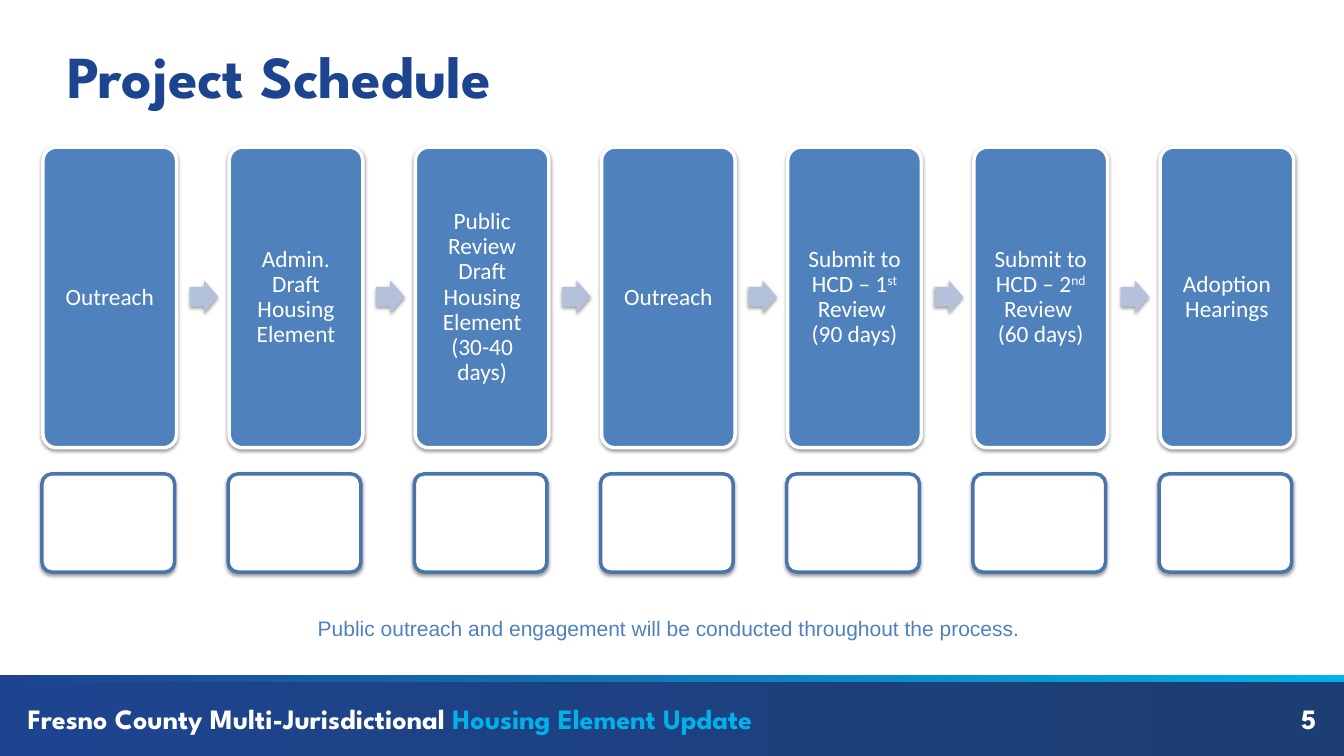
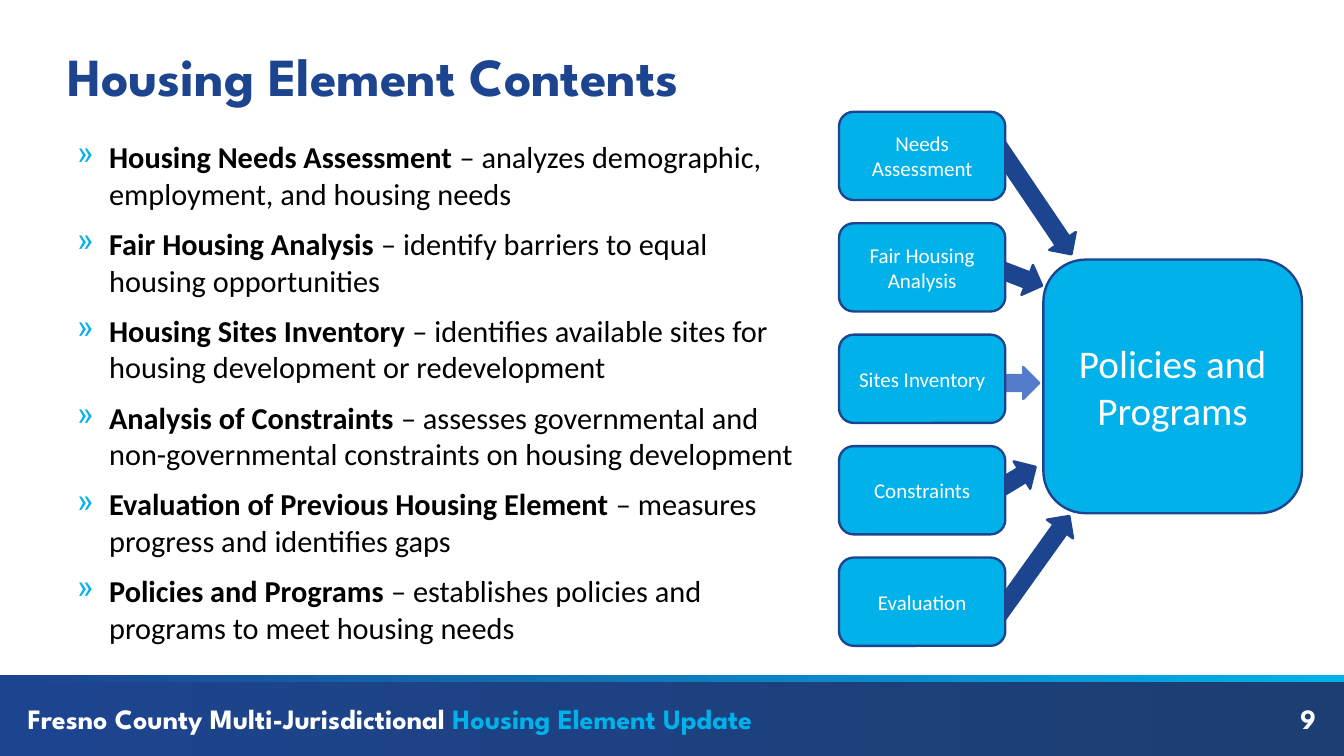
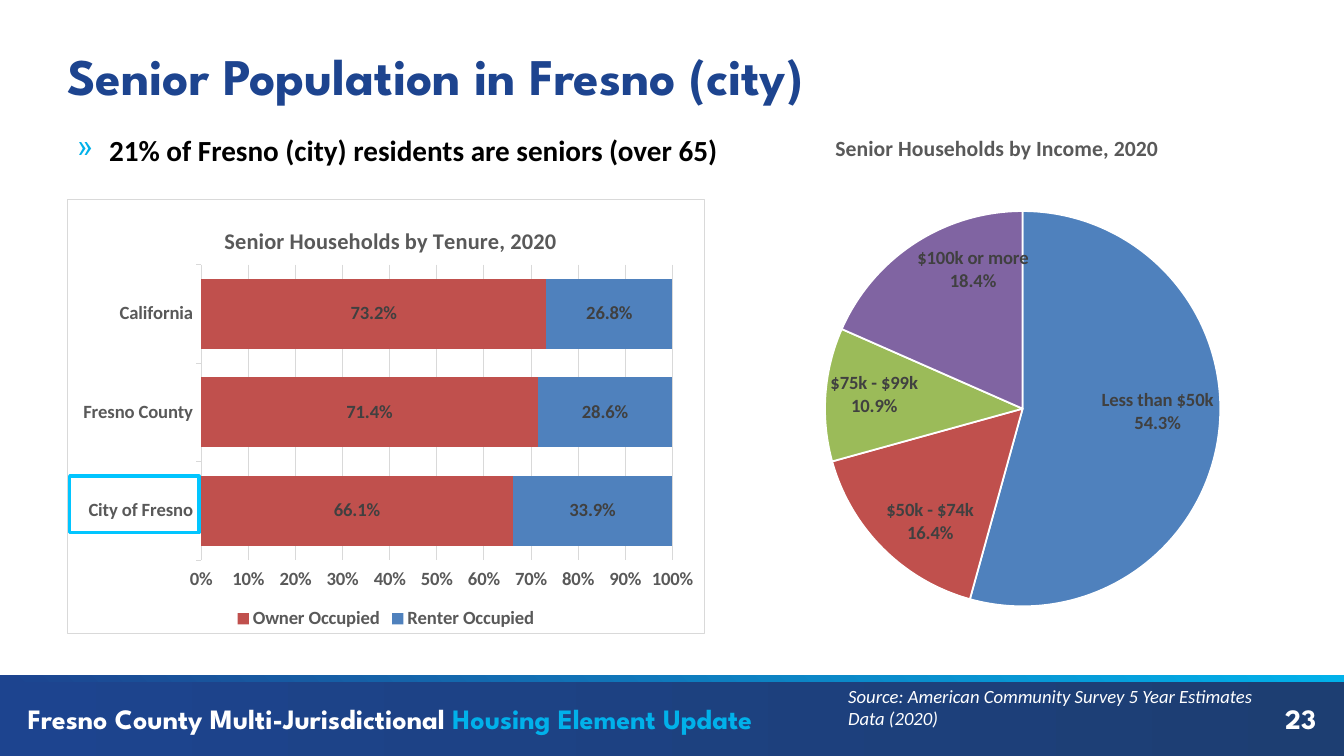
import pptx
import pptx.chart.data
import pptx.dml.color
import pptx.enum.chart
import pptx.enum.shapes
import pptx.enum.text
import pptx.oxml
import pptx.oxml.ns
import pptx.util

Cm = pptx.util.Cm
Pt = pptx.util.Pt
qn = pptx.oxml.ns.qn
SHAPE = pptx.enum.shapes.MSO_SHAPE
ALIGN = pptx.enum.text.PP_ALIGN
ANCHOR = pptx.enum.text.MSO_ANCHOR
CHART = pptx.enum.chart.XL_CHART_TYPE
LABEL = pptx.enum.chart.XL_LABEL_POSITION
TICK = pptx.enum.chart.XL_TICK_MARK

COLORS = {
    "navy": "1D448F", "deep": "1D3E72", "cyan": "01B1EA", "highlight": "01C5FF",
    "blue": "4F81BD", "outline": "4875AC", "pale": "B3C1DB", "soft": "557BCB",
    "red": "C0504D", "green": "9BBB59", "purple": "8064A2",
    "white": "FFFFFF", "black": "000000", "text": "404040", "gray": "595959", "rule": "D9D9D9",
}
HEADING = "League Spartan"
BODY = "Calibri"
WIDTH, HEIGHT = 40.64, 22.86


def rgb(name):
    return pptx.dml.color.RGBColor.from_string(COLORS[name])


def xml(tag, content="", attributes=""):
    namespaces = pptx.oxml.ns.nsdecls("a", "c")
    return pptx.oxml.parse_xml(f"<{tag} {namespaces} {attributes}>{content}</{tag}>")


class Deck:
    def __init__(self):
        self.presentation = pptx.Presentation()
        self.presentation.slide_width = Cm(WIDTH)
        self.presentation.slide_height = Cm(HEIGHT)
        self.slide = None

    def start(self, title, size, number):
        self.slide = self.presentation.slides.add_slide(self.presentation.slide_layouts[5])
        self.band(20.52, 2.34, "navy", "deep", 0)
        footer = [("Fresno County Multi-Jurisdictional ", {}),
                  ("Housing Element Update", {"color": "cyan"})]
        heading = {"size": 24, "font": HEADING, "bold": True, "color": "white"}
        self.text((0.84, 21.01, 30, 1.4), [footer], (0, 0.18), ANCHOR.MIDDLE, **heading)
        self.band(20.42, 0.2, "navy", "cyan", 45)
        self.text((34.72, 21.01, 5.08, 1.4), [str(number)], (0, 0.18), ANCHOR.MIDDLE,
                  align=ALIGN.RIGHT, **heading)
        shape = self.slide.shapes.title
        shape.left, shape.top, shape.width, shape.height = map(Cm, (2.03, 1.42, 36.58, 1.68))
        self.frame(shape, (0, 0), ANCHOR.MIDDLE)
        self.add_text(shape.text_frame, [title], **{**heading, "size": size, "color": "navy"})

    def band(self, top, height, first, last, angle):
        shape = self.shape(SHAPE.RECTANGLE, (0, top, WIDTH, height))
        shape.fill.gradient()
        shape.fill.gradient_angle = angle
        for stop, color in zip(shape.fill.gradient_stops, (first, last)):
            stop.color.rgb = rgb(color)

    def frame(self, shape, insets, anchor):
        frame = shape.text_frame
        frame.word_wrap = True
        frame.auto_size = pptx.enum.text.MSO_AUTO_SIZE.NONE
        frame.vertical_anchor = anchor
        frame.margin_left = frame.margin_right = Cm(insets[0])
        frame.margin_top = frame.margin_bottom = Cm(insets[1])

    def style(self, font, size, color, name=BODY, bold=False, italic=False):
        font.name = name
        font.size = Pt(size)
        font.bold = bold
        font.italic = italic
        font.color.rgb = rgb(color)

    def add_text(self, frame, paragraphs, size, color, font=BODY, bold=False, italic=False,
                 align=ALIGN.LEFT, spacing=None, bullet_gap=None):
        for index, content in enumerate(paragraphs):
            paragraph = frame.add_paragraph() if index else frame.paragraphs[0]
            paragraph.alignment = align
            if spacing:
                paragraph.line_spacing = spacing
            if bullet_gap is not None:
                self.bullet(paragraph, bullet_gap, index == 0)
            for text, changes in [(content, {})] if isinstance(content, str) else content:
                if text == "\v":
                    paragraph.add_line_break()
                    continue
                run = paragraph.add_run()
                run.text = text
                self.style(run.font, size, changes.get("color", color), font,
                           changes.get("bold", bold), italic)
                if changes.get("superscript"):
                    run.font._element.set("baseline", "30000")

    def bullet(self, paragraph, gap, first):
        properties = paragraph._p.get_or_add_pPr()
        properties.set("marL", str(Cm(1.27)))
        properties.set("indent", str(Cm(-0.97)))
        properties.append(xml("a:buClr", f'<a:srgbClr val="{COLORS["cyan"]}"/>'))
        properties.append(xml("a:buChar", attributes='char="»"'))
        if not first:
            paragraph.space_before = Pt(gap)
        paragraph.space_after = Pt(gap)

    def text(self, box, paragraphs, insets=(0.25, 0.13), anchor=ANCHOR.TOP, **style):
        shape = self.slide.shapes.add_textbox(*map(Cm, box))
        self.frame(shape, insets, anchor)
        self.add_text(shape.text_frame, paragraphs, **style)

    def bullets(self, box, paragraphs, size, gap, bold=False):
        self.text(box, paragraphs, (0, 0.18), size=size, color="black", bold=bold, bullet_gap=gap)

    def shape(self, kind, box, fill=None, line=None, width=2, adjustments=(), shadow=False):
        shape = self.slide.shapes.add_shape(kind, *map(Cm, box))
        shape.shadow.inherit = False
        if fill:
            shape.fill.solid()
            shape.fill.fore_color.rgb = rgb(fill)
        else:
            shape.fill.background()
        if line:
            shape.line.color.rgb = rgb(line)
            shape.line.width = Pt(width)
        else:
            shape.line.fill.background()
        for index, value in enumerate(adjustments):
            shape.adjustments[index] = value
        if shadow:
            color = '<a:srgbClr val="000000"><a:alpha val="38000"/></a:srgbClr>'
            attributes = f'blurRad="{Pt(3.1)}" dist="{Pt(1.6)}" dir="5400000" rotWithShape="0"'
            effects = shape._element.spPr.find(qn("a:effectLst"))
            effects.append(xml("a:outerShdw", color, attributes))
        return shape

    def card(self, box, content, size, fill, line, width=2, insets=(0.25, 0.13),
             spacing=None, **look):
        shape = self.shape(SHAPE.ROUNDED_RECTANGLE, box, fill, line, width, **look)
        self.frame(shape, insets, ANCHOR.MIDDLE)
        self.add_text(shape.text_frame, [content], size, "white", align=ALIGN.CENTER,
                      spacing=spacing)

    def pointer(self, center_x, center_y, length, angle, color):
        width = 0.97
        box = (center_x - width / 2, center_y - length / 2, width, length)
        self.shape(SHAPE.DOWN_ARROW, box, color, color).rotation = angle

    def place(self, parent, index, position):
        for layout in parent.findall(qn("c:layout")):
            parent.remove(layout)
        values = "".join(f'<c:{tag} val="{value}"/>' for tag, value in position)
        parent.insert(index, xml("c:layout", f"<c:manualLayout>{values}</c:manualLayout>"))

    def chart(self, kind, box, categories, series, title, title_size, title_at, plot_at,
              border=False):
        data = pptx.chart.data.CategoryChartData(number_format="0.0%")
        data.categories = categories
        for name, values in series:
            data.add_series(name, values)
        chart = self.slide.shapes.add_chart(kind, *map(Cm, box), data).chart
        self.style(chart.font, 16, "gray", bold=True)
        chart.has_title = True
        frame = chart.chart_title.text_frame
        frame.text = title
        self.style(frame.paragraphs[0].runs[0].font, title_size, "gray", bold=True)
        edges = [("xMode", "edge"), ("yMode", "edge")]
        self.place(chart.chart_title._element, 1, edges + list(zip("xy", title_at)))
        self.place(chart._chartSpace.chart.plotArea, 0,
                   [("layoutTarget", "inner")] + edges + list(zip("xywh", plot_at)))
        solid = '<a:solidFill><a:srgbClr val="{}"/></a:solidFill>'
        fill = solid.format(COLORS["white"]) if border else "<a:noFill/>"
        line = solid.format(COLORS["rule"]) if border else "<a:noFill/>"
        chart._chartSpace.chart.addnext(
            xml("c:spPr", f'{fill}<a:ln w="{Pt(0.75)}">{line}</a:ln>'))
        chart.has_legend = False
        return chart

    def labels(self, owner, position, category=False):
        labels = owner.data_labels
        labels.show_value = True
        labels.show_category_name = category
        labels.number_format = "0.0%"
        labels.number_format_is_linked = False
        labels.position = position
        self.style(labels.font, 16, "text", bold=True)
        if category:
            separator = xml("c:separator", "\n")
            labels._element.find(qn("c:showBubbleSize")).addnext(separator)

    def pie(self, box, categories, values, colors, **options):
        chart = self.chart(CHART.PIE, box, categories, [("Series 1", values)], **options)
        plot = chart.plots[0]
        plot.vary_by_categories = True
        for index, color in enumerate(colors):
            point = plot.series[0].points[index]
            point.format.fill.solid()
            point.format.fill.fore_color.rgb = rgb(color)
            point.format.line.color.rgb = rgb("white")
            point.format.line.width = Pt(1.5)
        self.labels(plot.series[0], LABEL.INSIDE_END, category=True)

    def bars(self, box, categories, series, colors, **options):
        chart = self.chart(CHART.BAR_STACKED_100, box, categories, series, border=True, **options)
        plot = chart.plots[0]
        plot.vary_by_categories = False
        plot.gap_width = 40
        plot.overlap = 100
        for item, color in zip(plot.series, colors):
            item.invert_if_negative = False
            item.format.fill.solid()
            item.format.fill.fore_color.rgb = rgb(color)
            self.labels(item, LABEL.CENTER)
        for axis in (chart.category_axis, chart.value_axis):
            axis.major_tick_mark = TICK.OUTSIDE
            axis.minor_tick_mark = TICK.NONE
            self.style(axis.tick_labels.font, 16, "gray", bold=True)
        values = chart.value_axis
        values.minimum_scale, values.maximum_scale, values.major_unit = 0, 1, 0.1
        values.tick_labels.number_format = "0%"
        values.tick_labels.number_format_is_linked = False
        values.format.line.fill.background()
        values.has_major_gridlines = True
        for line in (chart.category_axis.format.line, values.major_gridlines.format.line):
            line.color.rgb = rgb("rule")
            line.width = Pt(0.75)
        chart.has_legend = True
        chart.legend.position = pptx.enum.chart.XL_LEGEND_POSITION.BOTTOM
        chart.legend.include_in_layout = False
        self.style(chart.legend.font, 16, "gray", bold=True)


def schedule(deck):
    deck.start("Project Schedule", 51, 5)

    def review(ordinal, suffix, days):
        return [(f"Submit to HCD – {ordinal}", {}), (suffix, {"superscript": True}),
                (" Review ", {}), ("\v", {}), (f"({days} days)", {})]

    steps = ["Outreach", "Admin. Draft Housing Element",
             "Public Review Draft Housing Element (30-40 days)", "Outreach",
             review(1, "st", 90), review(2, "nd", 60), "Adoption Hearings"]
    pitch = 5.63
    for index, step in enumerate(steps):
        offset = index * pitch
        deck.shape(SHAPE.ROUNDED_RECTANGLE, (1.27 + offset, 14.33, 4.01, 2.97), "white",
                   "outline", 3, (0.1,), True)
        deck.card((1.3 + offset, 4.45, 4.04, 9.09), step, 20, "blue", "white", 3,
                  (0.2, 0.2), 0.9, adjustments=(0.1,), shadow=True)
        if index < len(steps) - 1:
            deck.shape(SHAPE.RIGHT_ARROW, (5.74 + offset, 8.48, 0.86, 0.99), "pale",
                       adjustments=(0.6, 0.5), shadow=True)
    deck.text((2.59, 18.47, 35.43, 1.02),
              ["Public outreach and engagement will be conducted throughout the process. "],
              size=18, color="blue", font="Arial", align=ALIGN.CENTER)


def contents(deck):
    deck.start("Housing Element Contents", 45.9, 9)
    for pointer in [(31.29, 6.05, 3.96, 325.9, "navy"), (30.66, 8.31, 1.83, 291, "navy"),
                    (30.84, 11.58, 1.17, 270, "soft"), (30.61, 14.54, 1.65, 239, "navy"),
                    (31.27, 17.09, 3.66, 215.6, "navy")]:
        deck.pointer(*pointer)
    entries = [
        ("Housing Needs Assessment ", "– analyzes demographic, employment, and housing needs"),
        ("Fair Housing Analysis", " – identify barriers to equal housing opportunities"),
        ("Housing Sites Inventory ",
         "– identifies available sites for housing development or redevelopment"),
        ("Analysis of Constraints ",
         "– assesses governmental and non-governmental constraints on housing development"),
        ("Evaluation of Previous Housing Element ", "– measures progress and identifies gaps"),
        ("Policies and Programs ", "– establishes policies and programs to meet housing needs"),
    ]
    deck.bullets((2.03, 4.01, 22.05, 15.8),
                 [[(term, {"bold": True}), (meaning, {})] for term, meaning in entries], 26, 6)
    deck.card((31.55, 7.85, 7.82, 7.67), "Policies and Programs", 33.6, "cyan", "navy")
    inputs = ["Needs Assessment", "Fair Housing Analysis", "Sites Inventory",
              "Constraints", "Evaluation"]
    for index, name in enumerate(inputs):
        deck.card((25.37, 3.38 + index * 3.37, 5.03, 2.67), name, 18, "cyan", "navy")


def seniors(deck):
    deck.start("Senior Population in Fresno (city)", 44, 23)
    deck.text((25.4, 20.57, 12.9, 1.63),
              ["Source: American Community Survey 5 Year Estimates Data (2020)"],
              size=16, color="white", italic=True)
    deck.bullets((2.03, 3.81, 20.9, 1.7),
                 ["21% of Fresno (city) residents are seniors (over 65)"], 25, 2, bold=True)
    deck.pie((20.32, 3.28, 19.28, 15.39),
             ["Less than $50k", "$50k - $74k", "$75k - $99k", "$100k or more"],
             [0.543, 0.164, 0.109, 0.184], ["blue", "red", "green", "purple"],
             title="Senior Households by Income, 2020", title_size=18.6,
             title_at=(0.25, 0.04), plot_at=(0.24, 0.2, 0.62, 0.78))
    deck.bars((2.03, 6.02, 19.28, 13.16), ["City of Fresno", "Fresno County", "California"],
              [("Owner Occupied", [0.661, 0.714, 0.732]),
               ("Renter Occupied", [0.339, 0.286, 0.268])], ["red", "blue"],
              title="Senior Households by Tenure, 2020", title_size=19.2,
              title_at=(0.24, 0.05), plot_at=(0.21, 0.15, 0.74, 0.68))
    deck.shape(SHAPE.RECTANGLE, (2.11, 14.4, 3.91, 1.7), line="highlight", width=3)


def main():
    deck = Deck()
    schedule(deck)
    contents(deck)
    seniors(deck)
    deck.presentation.save("out.pptx")


if __name__ == "__main__":
    main()
